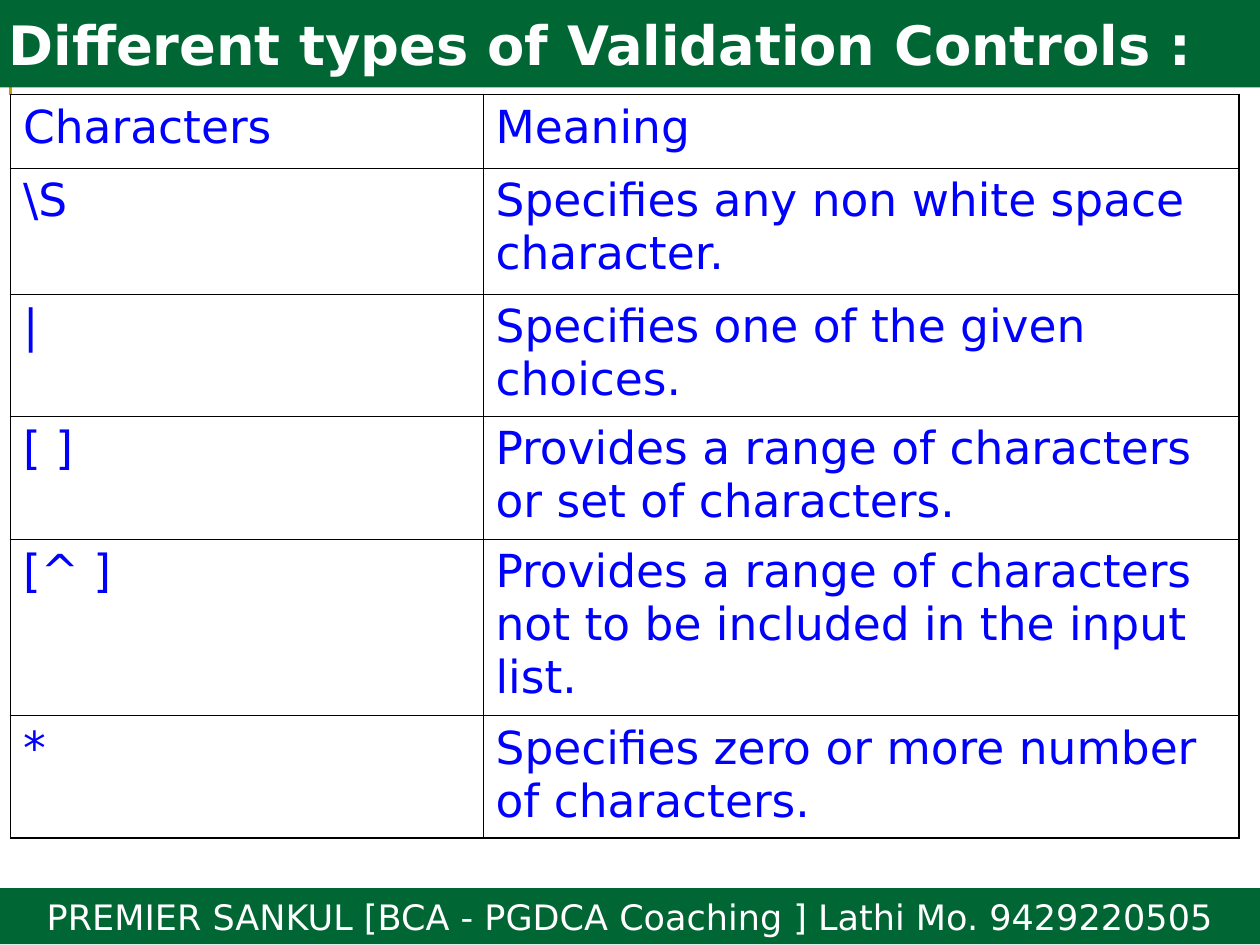
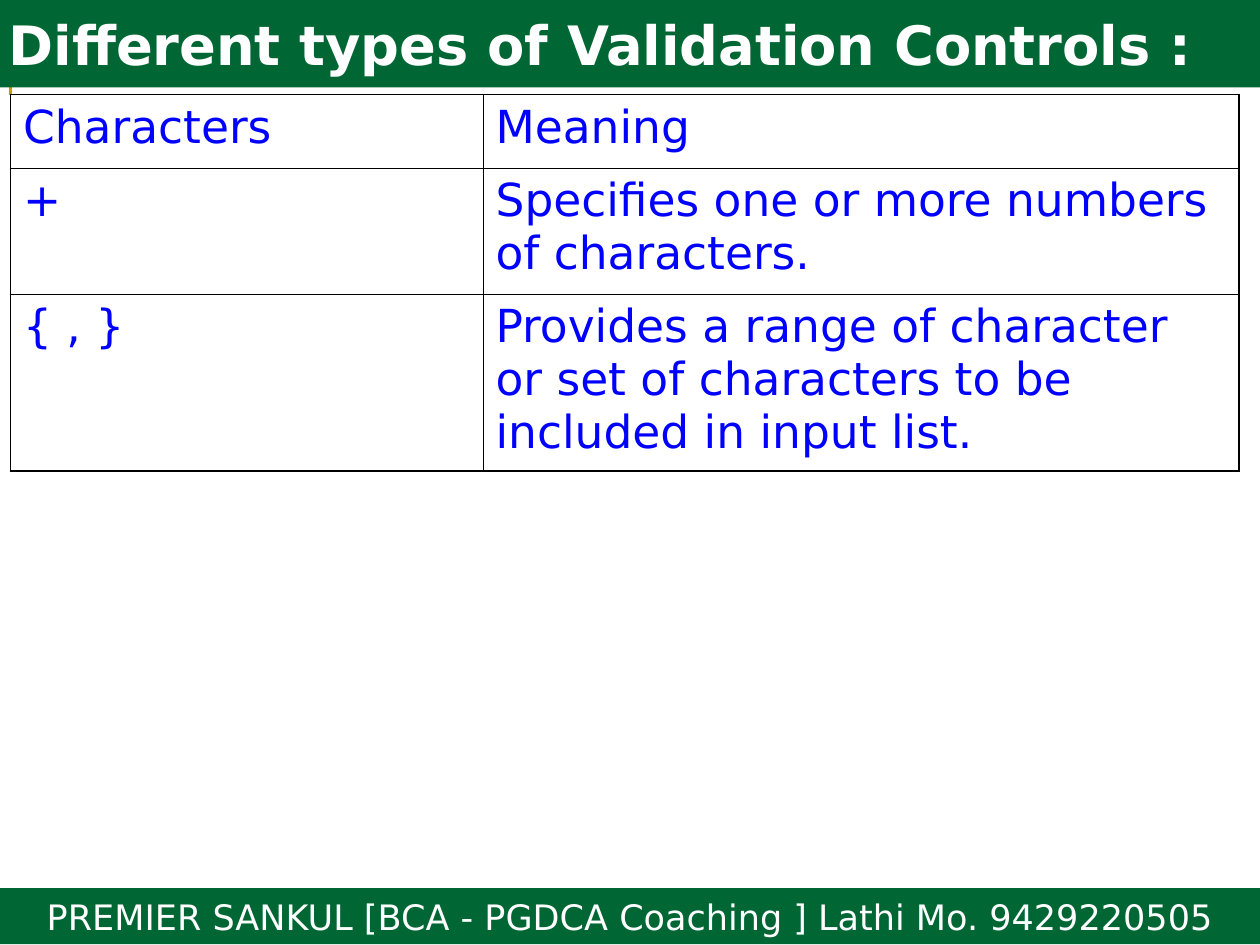
from lxml import etree
from pptx import Presentation
from pptx.dml.color import RGBColor
from pptx.enum.shapes import MSO_SHAPE
from pptx.enum.text import MSO_ANCHOR, PP_ALIGN
from pptx.oxml.ns import qn
from pptx.util import Pt

RECTANGLE = MSO_SHAPE.RECTANGLE
MIDDLE = MSO_ANCHOR.MIDDLE
LEFT, CENTER = PP_ALIGN.LEFT, PP_ALIGN.CENTER

COLORS = {"band": "006633", "band_text": "FFFFFF", "accent": "CC9900",
          "cell_text": "0000FF", "border": "000000"}
FONT = "DejaVu Sans"
WIDTH, HEIGHT = 720, 540
MARGIN, TABLE_TOP = 6, 54
COLUMN_WIDTHS = (270, 432)
OUTER_BORDER, INNER_BORDER = 1.08, 0.45

TITLE = "Different types of Validation Controls :"
FOOTER = "PREMIER SANKUL [BCA - PGDCA Coaching ] Lathi Mo. 9429220505"
HEADINGS = (42, "Characters", "Meaning")

# Each row: height, characters, meaning
CHARACTER_TABLES = [
    [
        (72, "\\S", "Specifies any non white space character."),
        (70, "|", "Specifies one of the given choices."),
        (70, "[ ]", "Provides a range of characters or set of characters."),
        (101, "[^ ]", "Provides a range of characters not to be included "
                      "in the input list."),
        (70, "*", "Specifies zero or more number of characters."),
    ],
    [
        (72, "+", "Specifies one or more numbers of characters."),
        (101, "{ , }", "Provides a range of character or set of characters "
                       "to be included in input list."),
    ],
]


def rgb(name):
    return RGBColor.from_string(COLORS[name])


class Deck:
    def __init__(self):
        self.presentation = Presentation()
        self.presentation.slide_width = Pt(WIDTH)
        self.presentation.slide_height = Pt(HEIGHT)
        self.slide = None

    def new_slide(self):
        """Start a slide with the shared footer, corner line and title."""
        blank = self.presentation.slide_layouts[6]
        self.slide = self.presentation.slides.add_slide(blank)
        self.band(507.5, 32, FOOTER, 20, align=CENTER)
        self.corner_line()
        self.band(0, 50, TITLE, 31, bold=True, inset=5)

    def add_text(self, frame, text, size, color, bold=False, align=LEFT):
        paragraph = frame.paragraphs[0]
        paragraph.alignment = align
        run = paragraph.add_run()
        run.text = text
        run.font.name = FONT
        run.font.size = Pt(size)
        run.font.bold = bold
        run.font.color.rgb = rgb(color)

    def band(self, top, height, text, size, bold=False, align=LEFT, inset=7.2):
        """Full-width coloured strip with one line of text."""
        strip = self.slide.shapes.add_shape(
            RECTANGLE, Pt(0), Pt(top), Pt(WIDTH), Pt(height))
        strip.shadow.inherit = False
        strip.fill.solid()
        strip.fill.fore_color.rgb = rgb("band")
        strip.line.fill.background()
        frame = strip.text_frame
        frame.word_wrap = True
        frame.vertical_anchor = MIDDLE
        frame.margin_left = frame.margin_right = Pt(inset)
        frame.margin_top = frame.margin_bottom = Pt(3.6)
        self.add_text(frame, text, size, "band_text", bold, align)

    def corner_line(self):
        right = MARGIN + sum(COLUMN_WIDTHS)
        builder = self.slide.shapes.build_freeform(Pt(MARGIN), Pt(TABLE_TOP))
        builder.add_line_segments(
            [(Pt(MARGIN), Pt(MARGIN)), (Pt(right), Pt(MARGIN))], close=False)
        corner = builder.convert_to_shape()
        corner.shadow.inherit = False
        corner.fill.background()
        corner.line.color.rgb = rgb("accent")
        corner.line.width = Pt(2.25)

    def cell_borders(self, cell, outer_sides):
        """Draw all four borders, heavier on the table's outer sides."""
        properties = cell._tc.get_or_add_tcPr()
        for side in "LRTB":
            width = OUTER_BORDER if side in outer_sides else INNER_BORDER
            line = etree.SubElement(properties, qn(f"a:ln{side}"), w=str(Pt(width)))
            fill = etree.SubElement(line, qn("a:solidFill"))
            etree.SubElement(fill, qn("a:srgbClr"), val=COLORS["border"])

    def character_table(self, rows):
        table = self.slide.shapes.add_table(
            len(rows), len(COLUMN_WIDTHS), Pt(MARGIN), Pt(TABLE_TOP),
            Pt(sum(COLUMN_WIDTHS)), Pt(sum(row[0] for row in rows))).table
        table.first_row = table.horz_banding = False
        for column, width in zip(table.columns, COLUMN_WIDTHS):
            column.width = Pt(width)
        for r, (height, *texts) in enumerate(rows):
            table.rows[r].height = Pt(height)
            vertical = {0: "T", len(rows) - 1: "B"}.get(r, "")
            for c, text in enumerate(texts):
                cell = table.cell(r, c)
                self.cell_borders(cell, "LR"[c] + vertical)
                cell.fill.background()
                self.add_text(cell.text_frame, text, 26, "cell_text")


def main():
    deck = Deck()
    for rows in CHARACTER_TABLES:
        deck.new_slide()
        deck.character_table([HEADINGS, *rows])
    deck.presentation.save("out.pptx")


if __name__ == "__main__":
    main()
